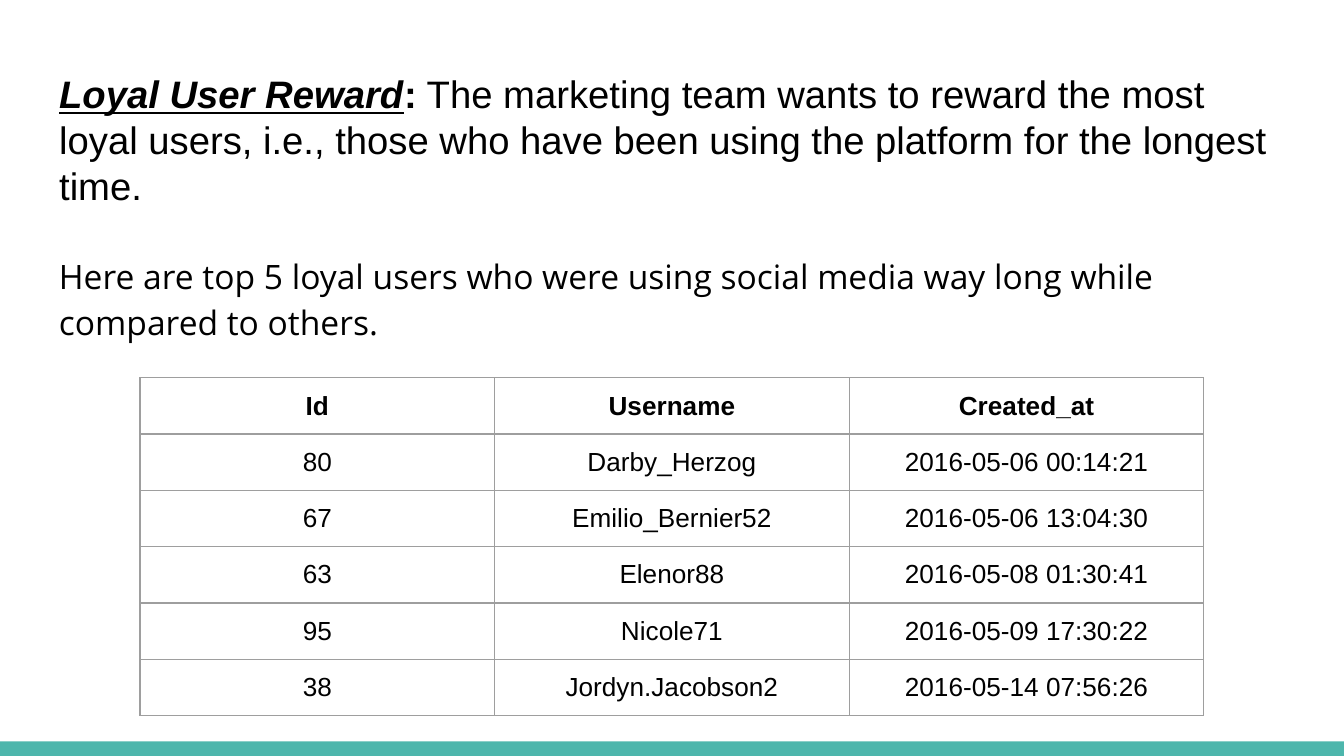
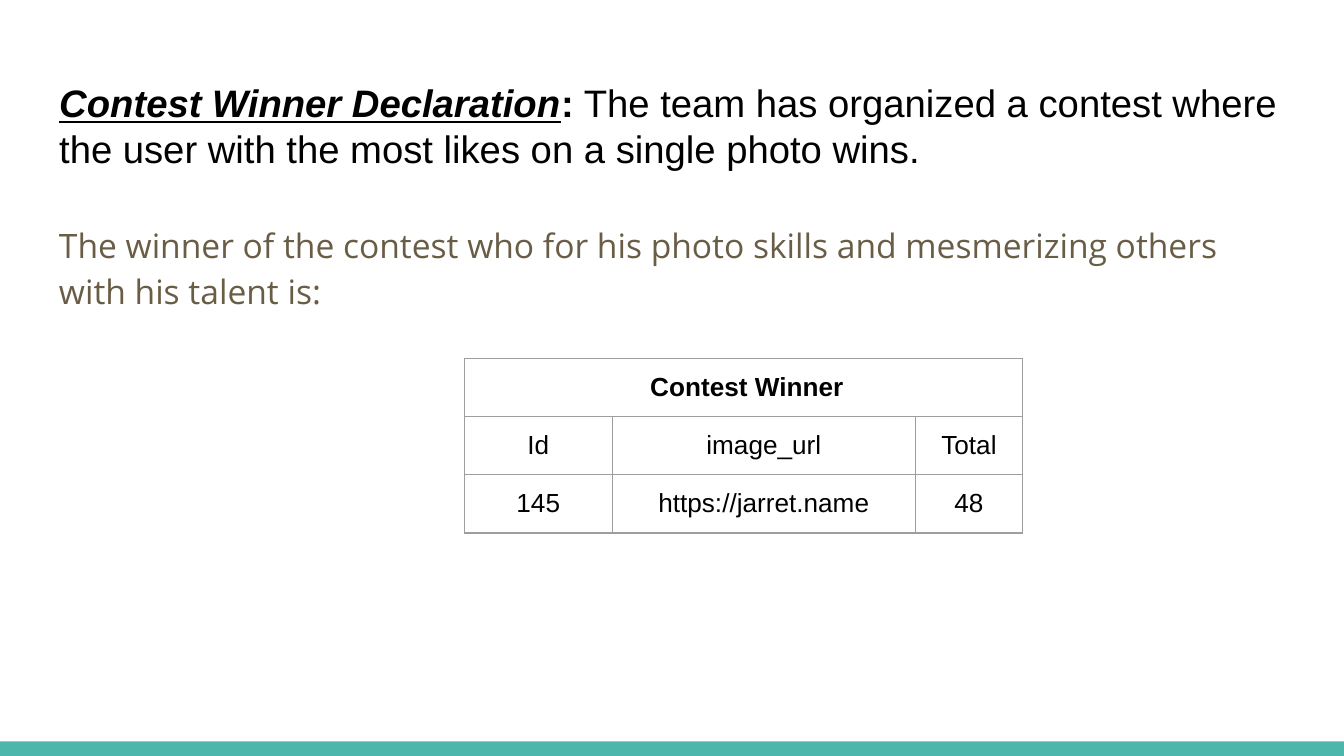
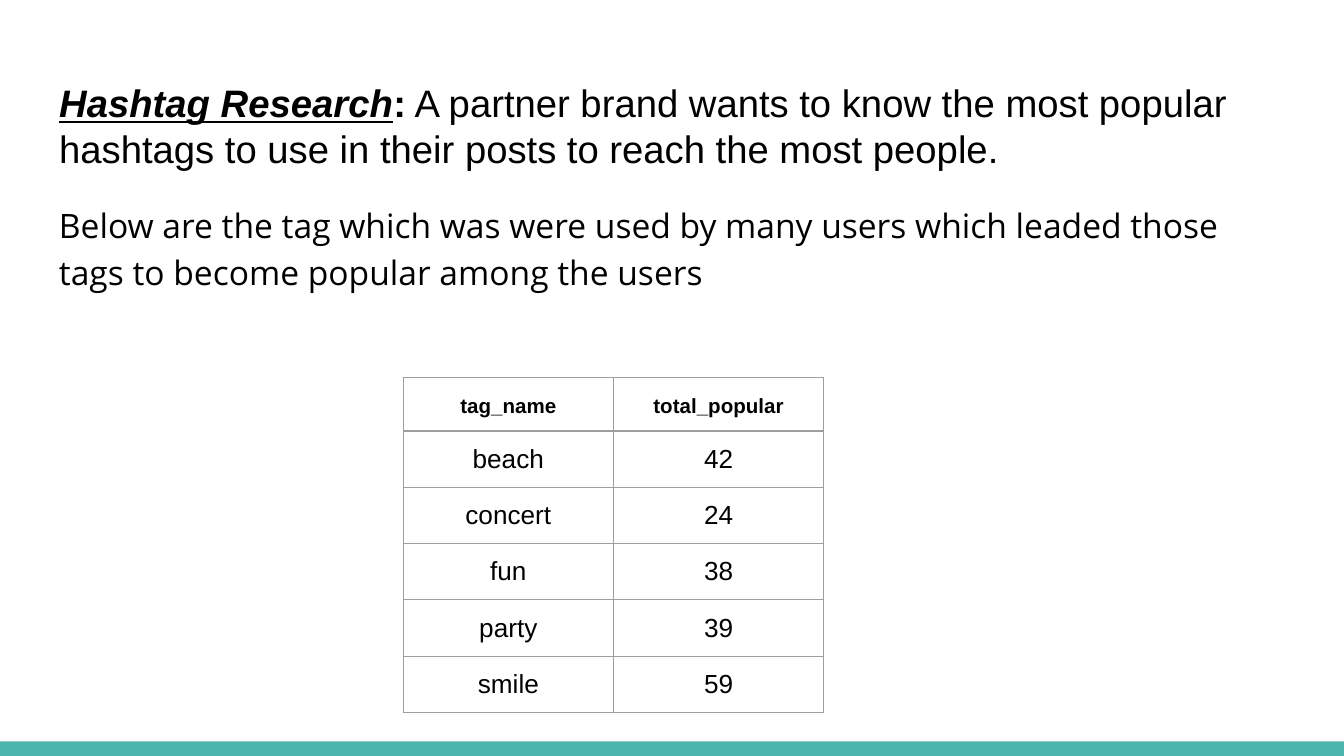
from lxml.etree import SubElement
from pptx import Presentation
from pptx.dml.color import RGBColor
from pptx.enum.shapes import MSO_SHAPE
from pptx.enum.text import MSO_ANCHOR, MSO_AUTO_SIZE, PP_ALIGN
from pptx.oxml.ns import qn
from pptx.util import Pt

COLORS = {"text": "000000", "muted": "695D46", "band": "4DB6AC", "border": "9E9E9E", "paper": "FFFFFF"}
SLIDE_WIDTH, SLIDE_HEIGHT = 720, 405
BAND_HEIGHT = 7.8
TEXT_LEFT, TEXT_WIDTH = 24.5, 671
INSET = 7.2
BORDER_WIDTH = 0.75

TITLE_FONT = {"name": "Arial", "size": Pt(20.5)}
BODY_FONT = {"name": "Open Sans", "size": Pt(18)}
CELL_FONT = {"name": "Arial", "size": Pt(14), "bold": False}
HEADER_FONT = CELL_FONT | {"bold": True}
SMALL_HEADER_FONT = HEADER_FONT | {"size": Pt(11)}
FRAME_FORMAT = {"word_wrap": True, "auto_size": MSO_AUTO_SIZE.NONE, "vertical_anchor": MSO_ANCHOR.TOP}
MARGINS = {f"margin_{side}": Pt(INSET) for side in ("left", "top", "right", "bottom")}


def set_format(target, values):
    for name, value in values.items():
        setattr(target, name, value)


def add_run(paragraph, text, font, color="text"):
    run = paragraph.add_run()
    run.text = text
    set_format(run.font, font)
    run.font.color.rgb = RGBColor.from_string(COLORS[color])


def add_borders(cell):
    properties = cell._tc.get_or_add_tcPr()
    for index, side in enumerate(("lnL", "lnR", "lnT", "lnB")):
        line = SubElement(properties, qn(f"a:{side}"), w=str(Pt(BORDER_WIDTH)))
        fill = SubElement(line, qn("a:solidFill"))
        SubElement(fill, qn("a:srgbClr"), val=COLORS["border"])
        properties.insert(index, line)


class Deck:
    def __init__(self):
        self.presentation = Presentation()
        self.presentation.slide_width = Pt(SLIDE_WIDTH)
        self.presentation.slide_height = Pt(SLIDE_HEIGHT)
        self.slide = None

    def add_slide(self):
        self.slide = self.presentation.slides.add_slide(self.presentation.slide_layouts[5])
        band = self.slide.shapes.add_shape(
            MSO_SHAPE.RECTANGLE, 0, Pt(SLIDE_HEIGHT - BAND_HEIGHT), Pt(SLIDE_WIDTH), Pt(BAND_HEIGHT))
        band.shadow.inherit = False
        band.fill.solid()
        band.fill.fore_color.rgb = RGBColor.from_string(COLORS["band"])
        band.line.fill.background()

    def add_title(self, topic, task, top, height):
        title = self.slide.shapes.title
        set_format(title, {"left": Pt(TEXT_LEFT), "top": Pt(top), "width": Pt(TEXT_WIDTH), "height": Pt(height)})
        set_format(title.text_frame, FRAME_FORMAT | MARGINS)
        paragraph = title.text_frame.paragraphs[0]
        paragraph.alignment = PP_ALIGN.LEFT
        add_run(paragraph, topic, TITLE_FONT | {"bold": True, "italic": True, "underline": True})
        add_run(paragraph, ":", TITLE_FONT | {"bold": True})
        add_run(paragraph, f" {task}", TITLE_FONT | {"bold": False})

    def add_body(self, text, top, height, color="text"):
        body = self.slide.shapes.add_textbox(Pt(TEXT_LEFT), Pt(top), Pt(TEXT_WIDTH), Pt(height))
        set_format(body.text_frame, FRAME_FORMAT | MARGINS)
        paragraph = body.text_frame.paragraphs[0]
        paragraph.line_spacing = 1.15
        add_run(paragraph, text, BODY_FONT, color)

    def add_table(self, rows, left, top, column_widths, row_heights, header_font=HEADER_FONT, header_spacing=1.0):
        """Add a bordered table; a first row with one entry spans all columns."""
        table = self.slide.shapes.add_table(
            len(rows), len(column_widths), Pt(left), Pt(top),
            Pt(sum(column_widths)), Pt(sum(row_heights))).table
        for column, width in zip(table.columns, column_widths):
            column.width = Pt(width)
        for row, height in zip(table.rows, row_heights):
            row.height = Pt(height)
        if len(rows[0]) == 1:
            table.cell(0, 0).merge(table.cell(0, len(column_widths) - 1))
        for cell in table.iter_cells():
            set_format(cell, MARGINS | {"vertical_anchor": MSO_ANCHOR.MIDDLE})
            cell.fill.background()
            add_borders(cell)
        for row_index, row in enumerate(rows):
            for column_index, text in enumerate(row):
                paragraph = table.cell(row_index, column_index).text_frame.paragraphs[0]
                paragraph.alignment = PP_ALIGN.CENTER
                if row_index == 0:
                    paragraph.line_spacing = header_spacing
                add_run(paragraph, text, CELL_FONT if row_index else header_font)


def main():
    deck = Deck()

    deck.add_slide()
    deck.add_title(
        "Loyal User Reward",
        "The marketing team wants to reward the most loyal users, i.e., those who have been "
        "using the platform for the longest time.", top=30.5, height=143)
    deck.add_body(
        "Here are top 5 loyal users who were using social media way long while compared to others.",
        top=126.7, height=131)
    loyal_users = [
        ("Id", "Username", "Created_at"),
        ("80", "Darby_Herzog", "2016-05-06 00:14:21"),
        ("67", "Emilio_Bernier52", "2016-05-06 13:04:30"),
        ("63", "Elenor88", "2016-05-08 01:30:41"),
        ("95", "Nicole71", "2016-05-09 17:30:22"),
        ("38", "Jordyn.Jacobson2", "2016-05-14 07:56:26"),
    ]
    deck.add_table(loyal_users, 75, 202.4, [190] * 3, [30.1] * 6)

    deck.add_slide()
    deck.add_title(
        "Contest Winner Declaration",
        "The team has organized a contest where the user with the most likes on a single photo wins.",
        top=35.5, height=55.5)
    deck.add_body(
        "The winner of the contest who for his photo skills and mesmerizing others with his talent is:",
        top=110, height=68.5, color="muted")
    contest_winner = [
        (" Contest Winner",),
        ("Id", "image_url", "Total"),
        ("145", "https://jarret.name", "48"),
    ]
    deck.add_table(contest_winner, 248.7, 192, [79.3, 162.5, 57.2], [31.2] * 3)

    deck.add_slide()
    deck.add_title(
        "Hashtag Research",
        "A partner brand wants to know the most popular hashtags to use in their posts to reach "
        "the most people.", top=35.5, height=55.5)
    popular_tags = [
        ("tag_name", "total_popular"),
        ("beach", "42"),
        ("concert", "24"),
        ("fun", "38"),
        ("party", "39"),
        ("smile", "59"),
    ]
    deck.add_table(popular_tags, 216, 202.4, [112.7] * 2, [24] + [26.6] * 5, SMALL_HEADER_FONT, 1.15)
    deck.add_body(
        "Below are the tag which was were used by many users which leaded those tags to become "
        "popular among the users", top=99.5, height=90.5)

    deck.presentation.save("out.pptx")


if __name__ == "__main__":
    main()
